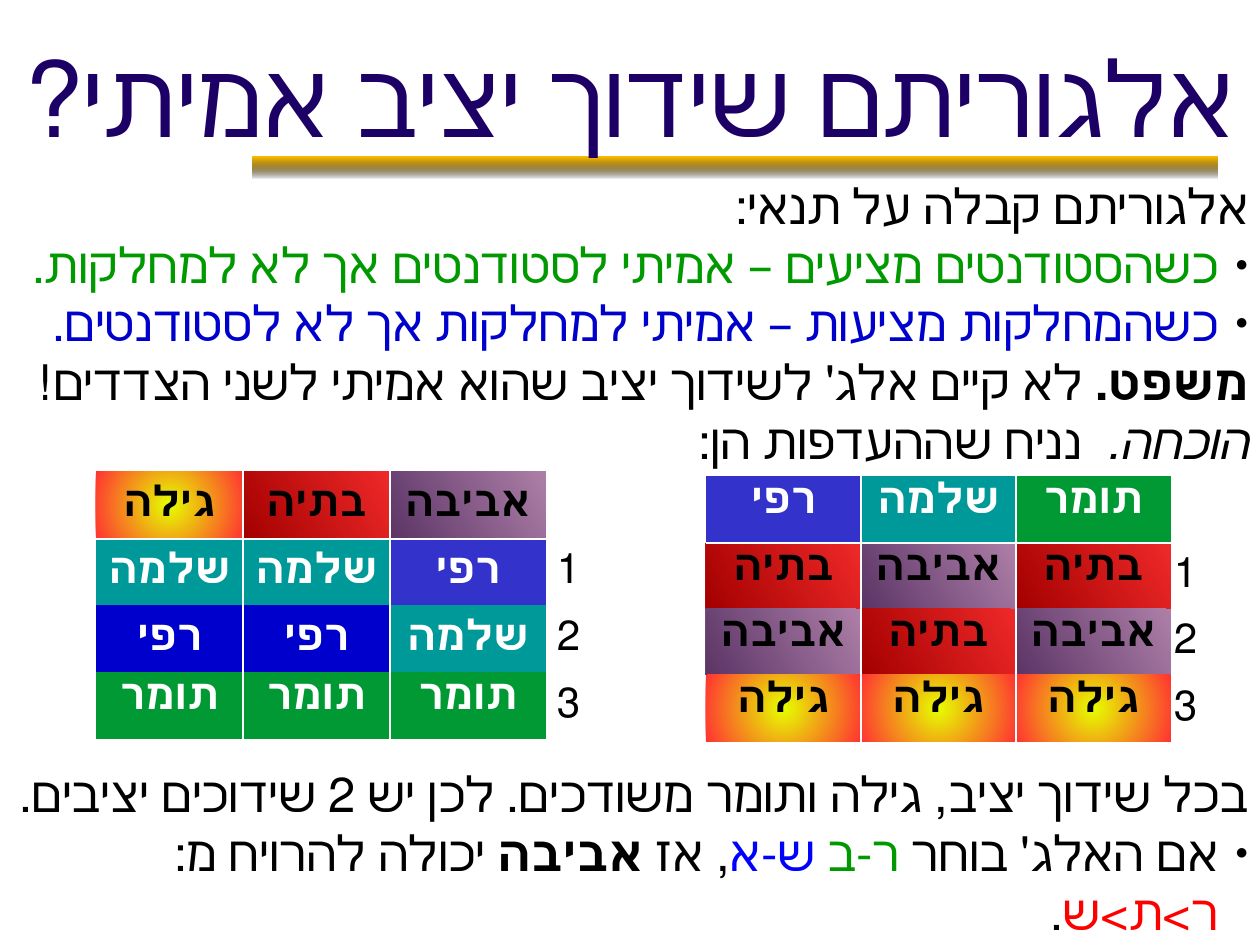
"""Build the slide on truthful stable matching with its two preference tables."""
from dataclasses import dataclass, replace
from typing import Any

from pptx import Presentation
from pptx.dml.color import RGBColor as Rgb
from pptx.enum.shapes import MSO_SHAPE as Kind
from pptx.enum.text import MSO_ANCHOR as Anchor, MSO_AUTO_SIZE as Fit, PP_ALIGN as Align
from pptx.oxml import parse_xml as to_xml
from pptx.oxml.ns import nsdecls, qn
from pptx.util import Pt

PX = 914400 / 126
NS = nsdecls("a")
PLAIN = "{2D5ABB26-0587-4C30-8999-92F81FD0307C}"

BLACK = Rgb(0x00, 0x00, 0x00)
WHITE = Rgb(0xFF, 0xFF, 0xFF)
INDIGO = Rgb(0x1D, 0x00, 0x66)
GOLD = Rgb(0xFF, 0xBF, 0x00)
GREEN = Rgb(0x00, 0x99, 0x00)
BLUE = Rgb(0x00, 0x00, 0xFF)
NAVY = Rgb(0x00, 0x00, 0xCC)
RED = Rgb(0xFF, 0x00, 0x00)
IRIS = Rgb(0x33, 0x33, 0xCC)
TEAL = Rgb(0x00, 0x99, 0x99)
LEAF = Rgb(0x00, 0x99, 0x33)
ROSE = Rgb(0xEF, 0x29, 0x29)
WINE = Rgb(0xA4, 0x00, 0x00)
LILAC = Rgb(0xAD, 0x7F, 0xA8)
PLUM = Rgb(0x5C, 0x35, 0x66)
LEMON = Rgb(0xE6, 0xFF, 0x00)
CORAL = Rgb(0xFF, 0x33, 0x33)


@dataclass(frozen=True)
class Run:
    text: str
    ink: Rgb = BLACK
    bold: bool = False
    slant: bool = False


@dataclass(frozen=True)
class Line:
    runs: tuple[Run, ...]
    dot: bool = False
    gap: float = 0


@dataclass(frozen=True)
class Name:
    text: str
    ink: Rgb
    fill: tuple[Rgb, ...]
    ang: int | None = 150


@dataclass(frozen=True)
class Grid:
    left: int
    top: int
    cols: tuple[int, ...]
    rows: tuple[int, ...]
    names: tuple[tuple[Name, ...], ...]
    gaps: tuple[int, ...]
    high: tuple[int, ...]
    align: Align
    spans: tuple[tuple[int, int], ...] = ()


RAFI = Name("רפי", WHITE, (IRIS,))
DARK = replace(RAFI, fill=(NAVY,))
SHLOMO = Name("שלמה", WHITE, (TEAL,))
TOMER = Name("תומר", WHITE, (LEAF,))
BATYA = Name("בתיה", BLACK, (ROSE, WINE))
AVIVA = Name("אביבה", BLACK, (LILAC, PLUM))
GILA = Name("גילה", BLACK, (LEMON, CORAL), None)

GRIDS = (
    Grid(706, 476, (155, 155, 155, 39), (67, 66, 66, 67),
         ((RAFI, SHLOMO, TOMER), (BATYA, AVIVA, BATYA), (AVIVA, BATYA, AVIVA), (GILA,) * 3),
         (8, 6, 6, 6), (0, 1, 2, 3), Align.CENTER),
    Grid(96, 471, (147, 147, 156, 47), (68, 66, 67, 0, 67),
         ((GILA, BATYA, AVIVA), (SHLOMO, SHLOMO, RAFI), (DARK, DARK, SHLOMO), (), (TOMER,) * 3),
         (7, 7, 7, 7, 7), (4,), Align.RIGHT, ((2, 0), (2, 1), (2, 2), (3, 3))),
)

LINES = (
    Line((Run("אלגוריתם קבלה על תנאי:"),)),
    Line((Run("כשהסטודנטים מציעים – אמיתי לסטודנטים אך לא למחלקות.", GREEN),), True),
    Line((Run("כשהמחלקות מציעות – אמיתי למחלקות אך לא לסטודנטים.", NAVY),), True),
    Line((Run("משפט.", bold=True), Run(" לא קיים אלג' לשידוך יציב שהוא אמיתי לשני הצדדים!"))),
    Line((Run("הוכחה.", slant=True), Run("  נניח שההעדפות הן:"))),
    Line((Run("בכל שידוך יציב, גילה ותומר משודכים. לכן יש 2 שידוכים יציבים."),), gap=168),
    Line((Run("אם האלג' בוחר "), Run("ר-ב ", GREEN), Run("ש-א", BLUE), Run(", אז "),
          Run("אביבה", bold=True), Run(" יכולה להרויח מ: "), Run("ר>ת>ש", RED), Run(".")), True),
)


def px(num: float) -> int:
    return round(num * PX)


def apply(item: Any, form: dict[str, Any]) -> None:
    for key, val in form.items():
        setattr(item, key, val)


def place(item: Any, left: int, top: int, width: int, height: int) -> None:
    apply(item, dict(left=px(left), top=px(top), width=px(width), height=px(height)))


def blend(stops: tuple[Rgb, ...], ang: int | None, alpha: int = 100) -> Any:
    first, last = stops
    way = (f'<a:lin ang="{ang * 60000}" scaled="0"/>' if ang is not None else
           '<a:path path="circle"><a:fillToRect l="50000" t="50000" r="50000" b="50000"/></a:path>')
    return to_xml(f'<a:gradFill {NS} rotWithShape="1"><a:gsLst><a:gs pos="0"><a:srgbClr val="{first}">'
                  f'<a:alpha val="{alpha * 1000}"/></a:srgbClr></a:gs><a:gs pos="100000">'
                  f'<a:srgbClr val="{last}"/></a:gs></a:gsLst>{way}</a:gradFill>')


def add_run(para: Any, run: Run, size: int, face: str) -> None:
    part = para.add_run()
    part.text = run.text
    apply(part.font, dict(size=Pt(size), name=face, bold=run.bold, italic=run.slant))
    part.font.color.rgb = run.ink


def set_para(para: Any, align: Align, gap: float, lead: float = 1) -> Any:
    apply(para, dict(alignment=align, space_before=Pt(gap), line_spacing=lead))
    prop = para._p.get_or_add_pPr()
    prop.set("rtl", "1")
    return prop


def add_line(para: Any, line: Line, size: int, face: str) -> None:
    prop = set_para(para, Align.RIGHT, line.gap)
    edge = px(30) if line.dot else 0
    prop.set("marL", str(edge))
    prop.set("indent", str(-edge))
    marks = ((f'<a:buClr {NS}><a:srgbClr val="{BLACK}"/></a:buClr>', f'<a:buSzPct {NS} val="45000"/>',
              f'<a:buChar {NS} char="●"/>') if line.dot else (f'<a:buNone {NS}/>',))
    for mark in marks:
        prop.append(to_xml(mark))
    for run in line.runs:
        add_run(para, run, size, face)


def fill_text(hold: Any, lines: tuple[Line, ...], size: int, face: str, anchor: Anchor) -> None:
    frame = hold.text_frame
    apply(frame, dict(auto_size=Fit.NONE, word_wrap=True, vertical_anchor=anchor, margin_left=0))
    for num, line in enumerate(lines):
        add_line(frame.add_paragraph() if num else frame.paragraphs[0], line, size, face)


def add_bar(slide: Any) -> None:
    bar = slide.shapes.add_shape(Kind.RECTANGLE, px(252), px(157), px(966), px(22))
    bar.shadow.inherit = False
    bar.line.fill.background()
    bar._element.spPr.insert(2, blend((BLACK, GOLD), 270, 0))
    slide.shapes._spTree.insert(2, bar._element)


def set_cell(cell: Any, run: Run, align: Align, gap: int, anchor: Anchor) -> None:
    cell.vertical_anchor = anchor
    para = cell.text_frame.paragraphs[0]
    set_para(para, align, gap, 0.93)
    add_run(para, run, 24, "Arial")


def paint(cell: Any, name: Name, sides: str) -> None:
    prop = cell._tc.get_or_add_tcPr()
    for side in "LRTB":
        ink = f'<a:solidFill><a:srgbClr val="{WHITE}"/></a:solidFill>' if side in sides else "<a:noFill/>"
        prop.append(to_xml(f'<a:ln{side} {NS} w="18700">{ink}</a:ln{side}>'))
    if len(name.fill) == 1:
        cell.fill.solid()
        cell.fill.fore_color.rgb = name.fill[0]
    else:
        prop.append(blend(name.fill, name.ang))


def add_grid(slide: Any, grid: Grid) -> None:
    count, wide = len(grid.rows), len(grid.cols)
    table = slide.shapes.add_table(count, wide, px(grid.left), px(grid.top),
                                   px(sum(grid.cols)), px(sum(grid.rows))).table
    apply(table, dict(first_row=False, horz_banding=False))
    table._tbl.tblPr.find(qn("a:tableStyleId")).text = PLAIN
    for col, width in zip(table.columns, grid.cols):
        col.width = px(width)
    for row, col in grid.spans:
        table.cell(row, col).merge(table.cell(row + 1, col))
    for row, names in enumerate(grid.names):
        table.rows[row].height = px(grid.rows[row])
        anchor = Anchor.TOP if row in grid.high else Anchor.MIDDLE
        for col, name in enumerate(names):
            cell = table.cell(row, col)
            set_cell(cell, Run(name.text, name.ink, True), Align.CENTER, grid.gaps[row], anchor)
            sides = ("L" if col else "") + ("R" if col < wide - 2 else "")
            paint(cell, name, sides + {0: "B", 1: "T"}.get(row, ""))
        if 0 < row < 4:
            set_cell(table.cell(row, wide - 1), Run(str(row)), grid.align, 6, Anchor.MIDDLE)


def main() -> None:
    deck = Presentation()
    apply(deck, dict(slide_width=px(1260), slide_height=px(945)))
    slide = deck.slides.add_slide(deck.slide_layouts[1])
    title, body = slide.placeholders
    place(title, 0, 32, 1247, 126)
    fill_text(title, (Line((Run("אלגוריתם שידוך יציב אמיתי?", INDIGO),)),), 60, "Arial", Anchor.MIDDLE)
    place(body, 1, 169, 1260, 776)
    fill_text(body, LINES, 28, "Roboto", Anchor.TOP)
    for _ in range(2):
        add_bar(slide)
    for grid in GRIDS:
        add_grid(slide, grid)
    deck.save("out.pptx")


if __name__ == "__main__":
    main()
